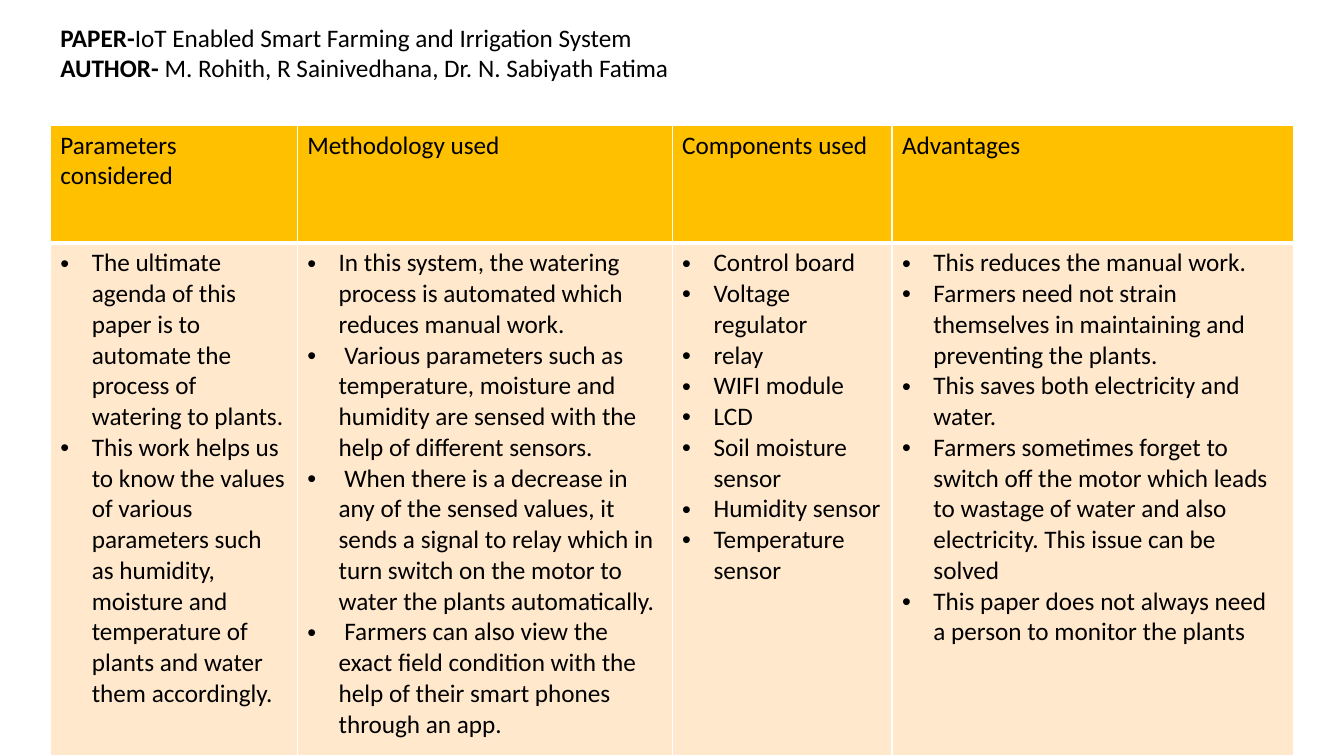
import pptx
import pptx.util
import pptx.dml.color
import pptx.oxml.ns
from lxml import etree
from pptx.util import Cm

COLORS = {"text": "000000", "header": "FFC000", "body": "FFE8CC", "border": "FFFFFF"}
BULLET_INDENT = Cm(0.79)


def add_text(para, text, bold=False, bullet=False):
    """Add a run of text, with a hanging bullet if asked for."""
    if bullet:
        properties = para._p.get_or_add_pPr()
        properties.set("marL", str(BULLET_INDENT))
        properties.set("indent", str(-BULLET_INDENT))
        for tag, name, value in (("a:buFont", "typeface", "Arial"), ("a:buChar", "char", "•")):
            etree.SubElement(properties, pptx.oxml.ns.qn(tag)).set(name, value)
    span = para.add_run()
    span.text = text
    span.font.name = "Calibri"
    span.font.size = pptx.util.Pt(18)
    span.font.bold = bold
    span.font.color.rgb = pptx.dml.color.RGBColor.from_string(COLORS["text"])


def style_cell(cell, color, bottom=1):
    """Give a cell its borders, widths in points, and its fill."""
    properties = cell._tc.get_or_add_tcPr()
    for side, width in (("L", 1), ("R", 1), ("T", 1), ("B", bottom)):
        line = etree.SubElement(properties, pptx.oxml.ns.qn(f"a:ln{side}"))
        line.set("w", str(pptx.util.Pt(width)))
        fill = etree.SubElement(line, pptx.oxml.ns.qn("a:solidFill"))
        etree.SubElement(fill, pptx.oxml.ns.qn("a:srgbClr")).set("val", COLORS["border"])
    cell.fill.solid()
    cell.fill.fore_color.rgb = pptx.dml.color.RGBColor.from_string(COLORS[color])


deck = pptx.Presentation()
deck.slide_width, deck.slide_height = Cm(33.87), Cm(19.05)
slide = deck.slides.add_slide(deck.slide_layouts[6])

# Comparison table: column width in cm, heading, bullet points
columns = [
    (6.22, "Parameters considered", [
        "The ultimate agenda of this paper is to automate the process of watering to plants.",
        "This work helps us to know the values of various parameters such as humidity, "
        "moisture and temperature of plants and water them accordingly.",
    ]),
    (9.45, "Methodology used", [
        "In this system, the watering process is automated which reduces manual work.",
        " Various parameters such as temperature, moisture and humidity are sensed "
        "with the help of different sensors.",
        " When there is a decrease in any of the sensed values, it sends a signal to relay "
        "which in turn switch on the motor to water the plants automatically.",
        " Farmers can also view the exact field condition with the help of their "
        "smart phones through an app.",
    ]),
    (5.54, "Components used", [
        "Control board", "Voltage regulator", "relay", "WIFI module", "LCD",
        "Soil moisture sensor", "Humidity sensor", "Temperature sensor",
    ]),
    (10.11, "Advantages", [
        "This reduces the manual work.",
        "Farmers need not strain themselves in maintaining and preventing the plants.",
        "This saves both electricity and water.",
        "Farmers sometimes forget to switch off the motor which leads to wastage of water "
        "and also electricity. This issue can be solved",
        "This paper does not always need a person to monitor the plants",
    ]),
]
row_heights = [2.97, 12.93]
table_width = sum(width for width, heading, points in columns)
table = slide.shapes.add_table(
    2, len(columns), Cm(1.27), Cm(3.15), Cm(table_width), Cm(sum(row_heights))).table
table.first_row = table.horz_banding = False
for row, height in zip(table.rows, row_heights):
    row.height = Cm(height)

for index, (width, heading, points) in enumerate(columns):
    table.columns[index].width = Cm(width)
    header, body = table.cell(0, index), table.cell(1, index)
    style_cell(header, "header", bottom=3)
    style_cell(body, "body")
    add_text(header.text_frame.paragraphs[0], heading)
    for number, point in enumerate(points):
        frame = body.text_frame
        para = frame.add_paragraph() if number else frame.paragraphs[0]
        add_text(para, point, bullet=True)

# Paper title and authors
box = slide.shapes.add_textbox(Cm(1.27), Cm(0.43), Cm(16.94), Cm(1.8))
box.text_frame.word_wrap = True
credits = [
    ("PAPER-", "IoT Enabled Smart Farming and Irrigation System"),
    ("AUTHOR-", " M. Rohith, R Sainivedhana, Dr. N. Sabiyath Fatima"),
]
for number, (label, value) in enumerate(credits):
    para = box.text_frame.add_paragraph() if number else box.text_frame.paragraphs[0]
    add_text(para, label, bold=True)
    add_text(para, value)

deck.save("out.pptx")
